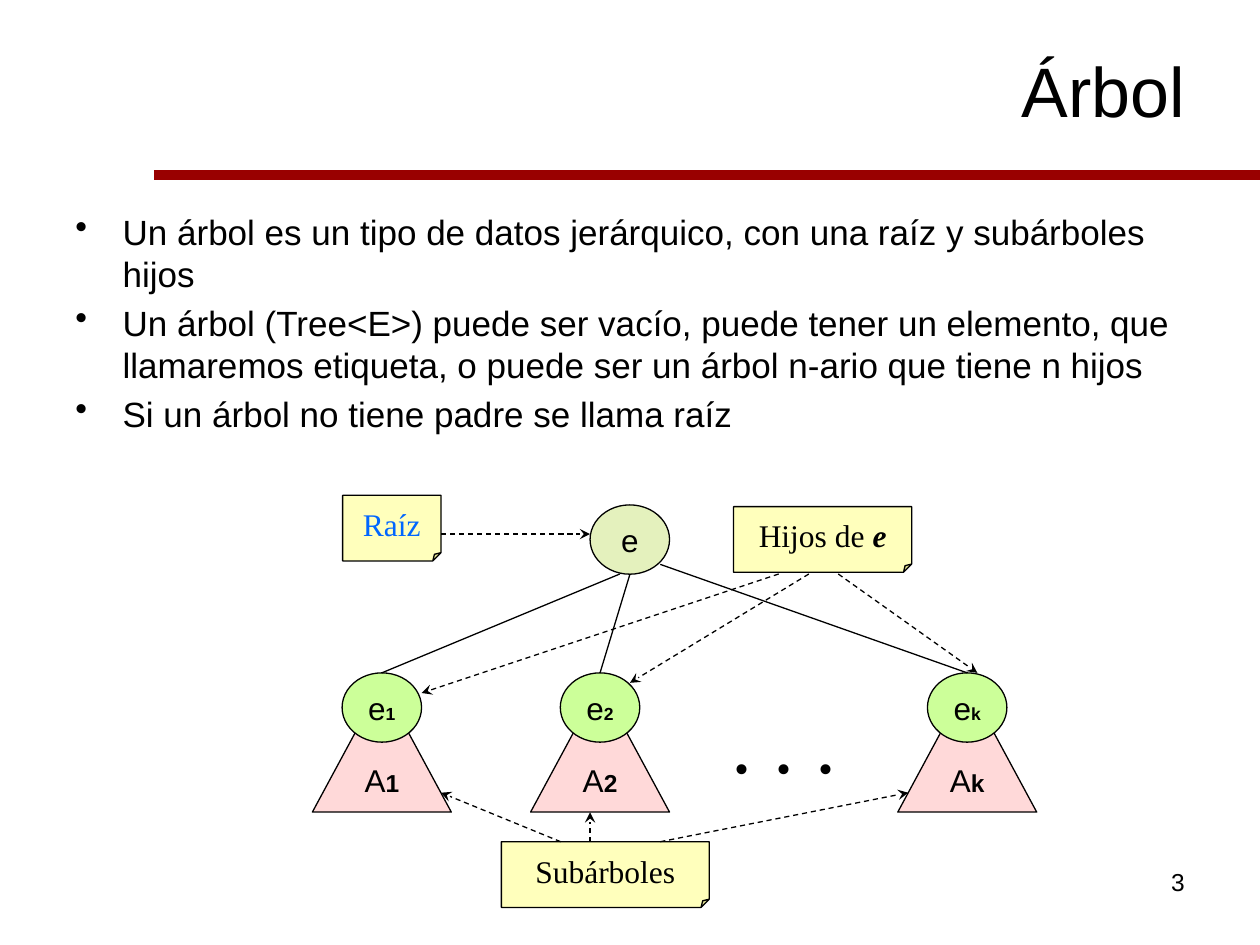
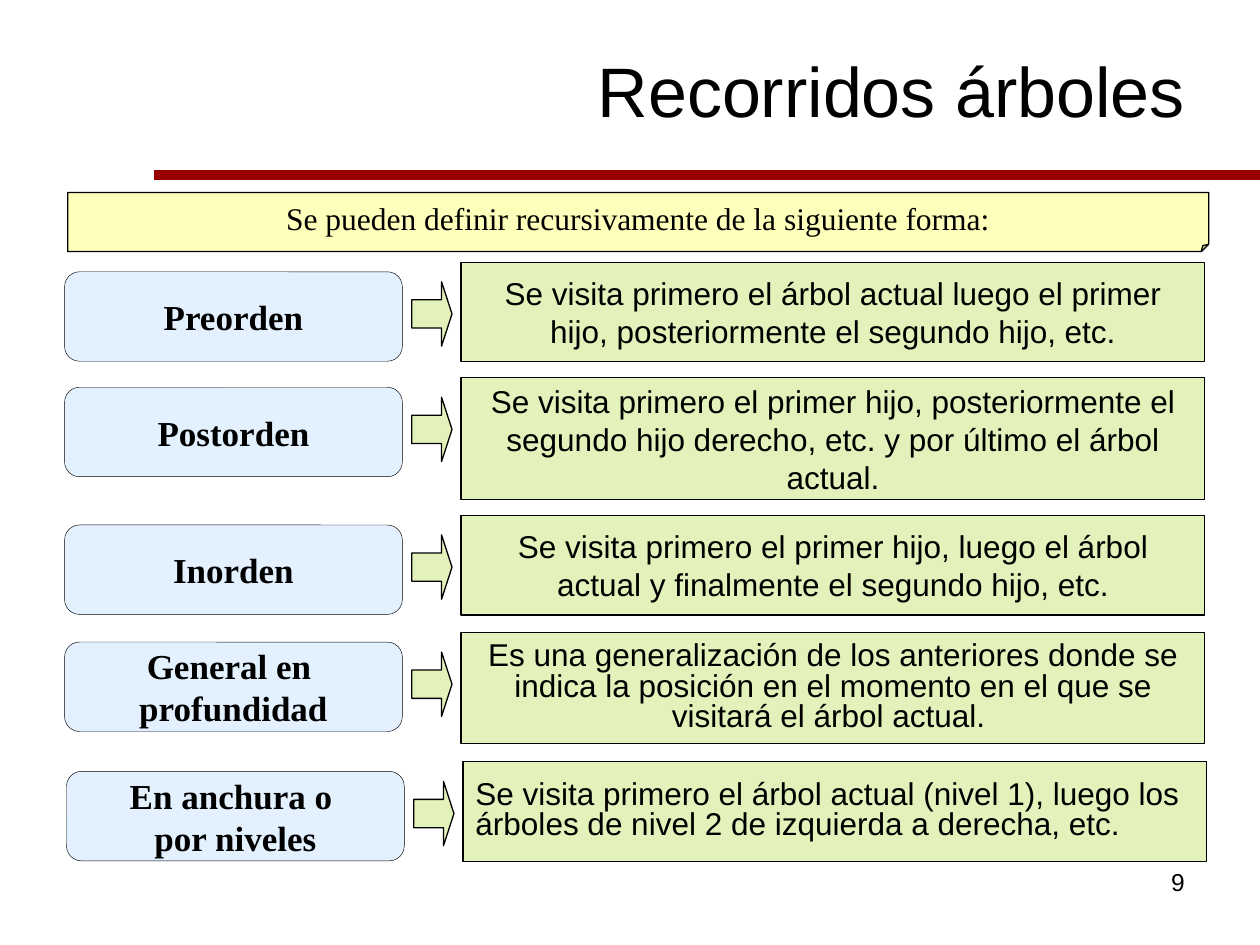
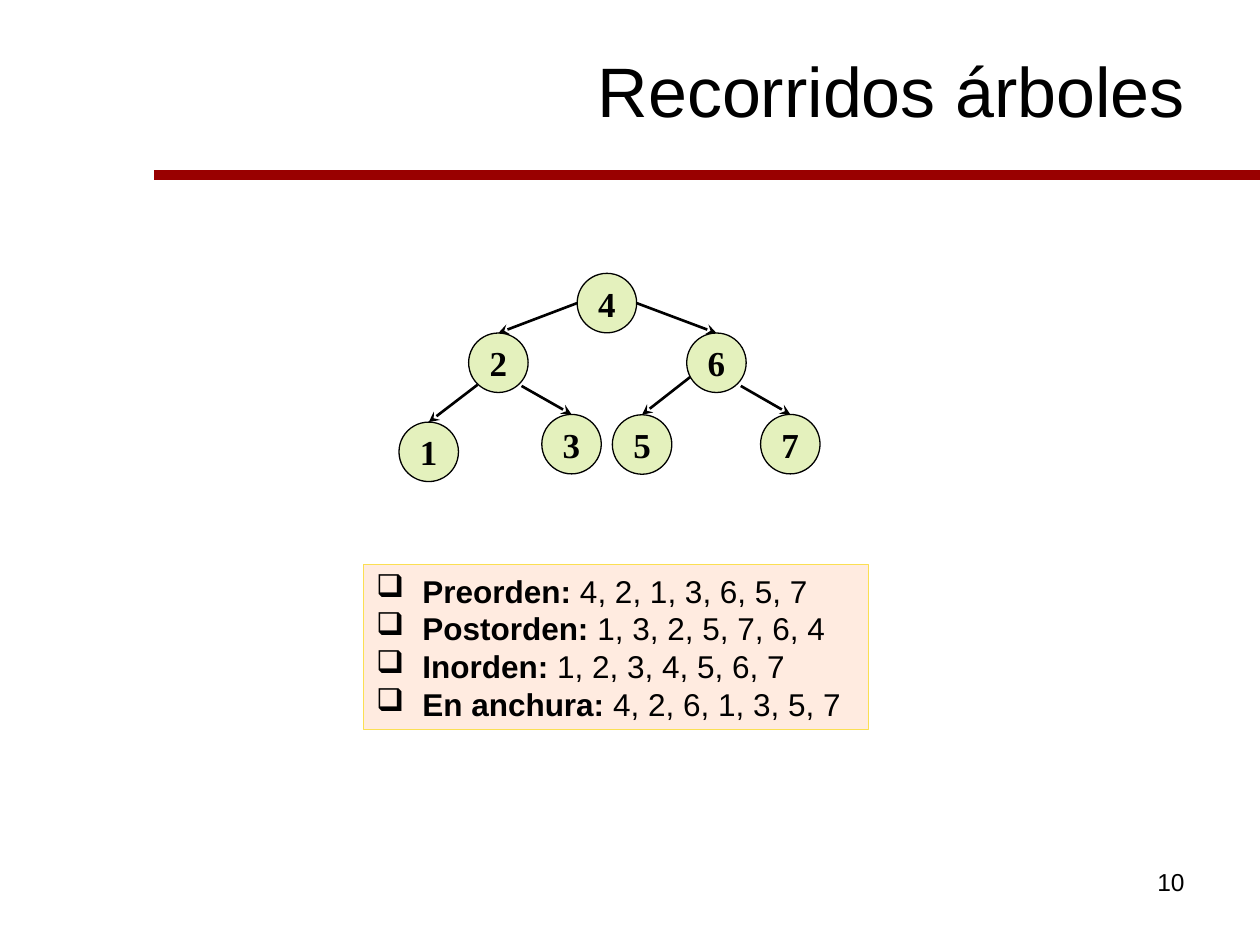
from lxml.etree import SubElement
from pptx import Presentation
from pptx.dml.color import RGBColor
from pptx.enum.dml import MSO_LINE as Dash
from pptx.enum.shapes import MSO_CONNECTOR as Link, MSO_SHAPE as Kind
from pptx.enum.text import MSO_ANCHOR as Anchor, PP_ALIGN as Align
from pptx.oxml.ns import qn
from pptx.util import Pt

# Shared style
SANS, SERIF = "Arial", "Times New Roman"
BLACK, RED, BLUE = "000000", "990000", "0066FF"
# Fills: colour and opacity in percent
NOTE = ("FFFF99", 65)
ROOT = ("99CC00", 26)
BOX = ("99CC00", 27)
LABEL = ("99CCFF", 27)
CHILD = ("CCFF99", 100)
TREE = ("FF0000", 15)
PEACH = ("FFEBE0", 100)


def color(code):
    return RGBColor.from_string(code)


# Text
def para(shape, align=Align.CENTER):
    """Return the first paragraph if it is free, else a new one."""
    frame = shape.text_frame
    par = frame.paragraphs[0]
    if par.runs:
        par = frame.add_paragraph()
    par.alignment = align
    return par


def run(par, text, size=18, font=SANS, bold=False, ital=False, ink=BLACK):
    piece = par.add_run()
    piece.text = text
    face = piece.font
    face.size, face.name = Pt(size), font
    face.bold, face.italic = bold, ital
    face.color.rgb = color(ink)


def bullet(par, mark, indent):
    props = par._p.get_or_add_pPr()
    props.set("marL", str(int(Pt(indent))))
    props.set("indent", str(-int(Pt(indent))))
    SubElement(props, qn("a:buChar"), char=mark)


def text_box(slide, x, y, w, h, anchor=Anchor.TOP):
    box = slide.shapes.add_textbox(Pt(x), Pt(y), Pt(w), Pt(h))
    box.text_frame.word_wrap = True
    box.text_frame.vertical_anchor = anchor
    return box


# Shapes and lines
def shape(slide, kind, x, y, w, h, fill, line=BLACK, width=0.75, wrap=False):
    item = slide.shapes.add_shape(kind, Pt(x), Pt(y), Pt(w), Pt(h))
    item.shadow.inherit = False
    code, alpha = fill
    item.fill.solid()
    item.fill.fore_color.rgb = color(code)
    if alpha < 100:
        tint = item.element.spPr.find(qn("a:solidFill")).find(qn("a:srgbClr"))
        SubElement(tint, qn("a:alpha"), val=str(alpha * 1000))
    item.line.color.rgb = color(line)
    item.line.width = Pt(width)
    item.text_frame.word_wrap = wrap
    item.text_frame.vertical_anchor = Anchor.MIDDLE
    return item


def note(slide, x, y, w, h, wrap=False):
    item = shape(slide, Kind.FOLDED_CORNER, x, y, w, h, NOTE, wrap=wrap)
    # The library lists no adjustment for this preset
    geom = item.element.spPr.find(qn("a:prstGeom"))
    SubElement(geom.find(qn("a:avLst")), qn("a:gd"), name="adj", fmla="val 12500")
    return para(item)


def line(slide, x1, y1, x2, y2, ink=BLACK, width=0.75, dash=False, arrow=False):
    link = slide.shapes.add_connector(Link.STRAIGHT, Pt(x1), Pt(y1), Pt(x2), Pt(y2))
    link.line.color.rgb = color(ink)
    link.line.width = Pt(width)
    if dash:
        link.line.dash_style = Dash.DASH
    props = link.element.spPr
    if arrow:
        SubElement(props.find(qn("a:ln")), qn("a:tailEnd"), type="stealth")
    SubElement(props, qn("a:effectLst"))


def new_slide(deck, title, number):
    slide = deck.slides.add_slide(deck.slide_layouts[6])
    line(slide, 88, 100, 720, 100, RED, 6)
    run(para(text_box(slide, 516, 492, 168, 37.5), Align.RIGHT), number, 14)
    head = text_box(slide, 121.7, 15, 562.3, 72.7, Anchor.MIDDLE)
    run(para(head, Align.RIGHT), title, 40)
    return slide


# Slide: what a tree is
def tree_slide(deck):
    slide = new_slide(deck, "Árbol", "3")
    body = text_box(slide, 36, 116.6, 648, 382)
    for text in (
        "Un árbol es un tipo de datos jerárquico, con una raíz y subárboles hijos",
        "Un árbol (Tree<E>) puede ser vacío, puede tener un elemento, que "
        "llamaremos etiqueta, o puede ser un árbol n-ario que tiene n hijos",
        "Si un árbol no tiene padre se llama raíz",
    ):
        par = para(body, Align.LEFT)
        par.space_before = Pt(4)
        bullet(par, "•", 27)
        run(par, text, 20)

    # Notes
    run(note(slide, 286.5, 481, 118.8, 37.5), "Subárboles", font=SERIF)
    run(note(slide, 195.8, 283, 56.2, 37.5), "Raíz", font=SERIF, ink=BLUE)
    kids = note(slide, 419.2, 289.5, 101.8, 37.5)
    run(kids, "Hijos de ", font=SERIF)
    run(kids, "e", font=SERIF, bold=True, ital=True)

    # Root and subtrees
    wide, high = 45.4, 39.6
    run(para(shape(slide, Kind.OVAL, 337.2, 288.5, wide, high, ROOT)), "e")
    for mid, mark in ((218.2, "1"), (342.9, "2"), (552.7, "k")):
        base = shape(slide, Kind.ISOSCELES_TRIANGLE, mid - 39.7, 390.5, 79.4, 73.6, TREE)
        node = shape(slide, Kind.OVAL, mid - wide / 2, 384.5, wide, high, CHILD)
        for item, name, size in ((base, "A", 14), (node, "e", 10)):
            par = para(item)
            run(par, name)
            run(par, mark, size, bold=True)
    run(para(text_box(slide, 411, 390.2, 79.2, 65), Align.LEFT), ". . .", 48, SERIF)

    # Branches
    for ends in ((354.2, 328, 218.2, 384.5), (360, 328, 342.9, 384.5),
                 (377.3, 322.5, 552.7, 384.5)):
        line(slide, *ends)
    # Pointers from the notes
    for ends in ((320.4, 481, 252, 453), (337.2, 481, 337.2, 464.2),
                 (377.3, 481, 519, 453), (252, 305.2, 337.2, 305.2),
                 (445, 328, 241, 396), (462.2, 328, 360, 390.2),
                 (479, 328, 558.5, 384.5)):
        line(slide, *ends, dash=True, arrow=True)


# Slide: definitions of the traversals
def rules_slide(deck):
    slide = new_slide(deck, "Recorridos árboles", "9")
    run(note(slide, 38.7, 110, 652, 33.8, wrap=True),
        "Se pueden definir recursivamente de la siguiente forma:", font=SERIF)
    # Top, height, shift, label lines, text, alignment, tight spacing
    rows = (
        (149.8, 56.9, 0, ["Preorden"],
         "Se visita primero el árbol actual luego el primer hijo, "
         "posteriormente el segundo hijo, etc.", Align.CENTER, False),
        (215.8, 69.8, 0, ["Postorden"],
         "Se visita primero el primer hijo, posteriormente el segundo hijo "
         "derecho, etc. y por último el árbol actual.", Align.CENTER, False),
        (294.5, 56.9, 0, ["Inorden"],
         "Se visita primero el primer hijo, luego el árbol actual y "
         "finalmente el segundo hijo, etc.", Align.CENTER, False),
        (361.4, 63.5, 0, ["General en ", "profundidad"],
         "Es una generalización de los anteriores donde se indica la posición "
         "en el momento en el que se visitará el árbol actual. ", Align.CENTER, True),
        (435.3, 56.9, 1.1, ["En anchura o ", "por niveles"],
         "Se visita primero el árbol actual (nivel 1), luego los árboles de "
         "nivel 2 de izquierda a derecha, etc.", Align.LEFT, True),
    )
    for top, high, dx, names, text, align, tight in rows:
        box = shape(slide, Kind.RECTANGLE, 263.5 + dx, top, 425, high, BOX, wrap=True)
        par = para(box, align)
        if tight:
            par.line_spacing, par.space_before = 0.8, Pt(4.5)
        run(par, text)
        arrow = shape(slide, Kind.RIGHT_ARROW, 235.3 + dx, top + 11.2, 23, 36.8, BOX)
        arrow.adjustments[0], arrow.adjustments[1] = 0.44, 0.26
        label = shape(slide, Kind.ROUNDED_RECTANGLE, 36.9 + dx, top + 5.5, 193, 51.1,
                      LABEL, width=0.25)
        for name in names:
            run(para(label), name, 20, SERIF, bold=True)


# Slide: example of the traversals
def example_slide(deck):
    slide = new_slide(deck, "Recorridos árboles", "10")
    orders = shape(slide, Kind.RECTANGLE, 207.8, 322.6, 288.7, 94.4, PEACH, "FBDF53",
                   wrap=True)
    for name, keys in (("Preorden: ", "4, 2, 1, 3, 6, 5, 7"),
                       ("Postorden: ", "1, 3, 2, 5, 7, 6, 4"),
                       ("Inorden: ", "1, 2, 3, 4, 5, 6, 7"),
                       ("En anchura: ", "4, 2, 6, 1, 3, 5, 7")):
        par = para(orders, Align.LEFT)
        bullet(par, "❑", 26.5)
        run(par, name, bold=True)
        run(par, keys)

    # Nodes: left and top by key
    size = 34
    nodes = {4: (329.8, 156.2), 2: (267.8, 190.3), 6: (392.4, 190.3),
             1: (228, 241.2), 3: (309.6, 236.8), 5: (349.9, 237), 7: (434.6, 236.8)}
    for key, (x, y) in nodes.items():
        node = shape(slide, Kind.OVAL, x, y, size, size, ROOT)
        run(para(node), str(key), 20, SERIF, bold=True)
    # Edges: parent, child, start as shares of the parent's width and height
    for top, low, across, down in ((4, 2, 0, 0.5), (4, 6, 1, 0.5), (2, 1, 0.15, 0.87),
                                   (2, 3, 0.89, 0.89), (6, 5, 0.06, 0.74),
                                   (6, 7, 0.91, 0.89)):
        (x1, y1), (x2, y2) = nodes[top], nodes[low]
        line(slide, x1 + across * size, y1 + down * size, x2 + size / 2, y2,
             width=1.5, arrow=True)


def main():
    deck = Presentation()
    deck.slide_width, deck.slide_height = Pt(720), Pt(540)
    tree_slide(deck)
    rules_slide(deck)
    example_slide(deck)
    deck.save("out.pptx")


if __name__ == "__main__":
    main()
